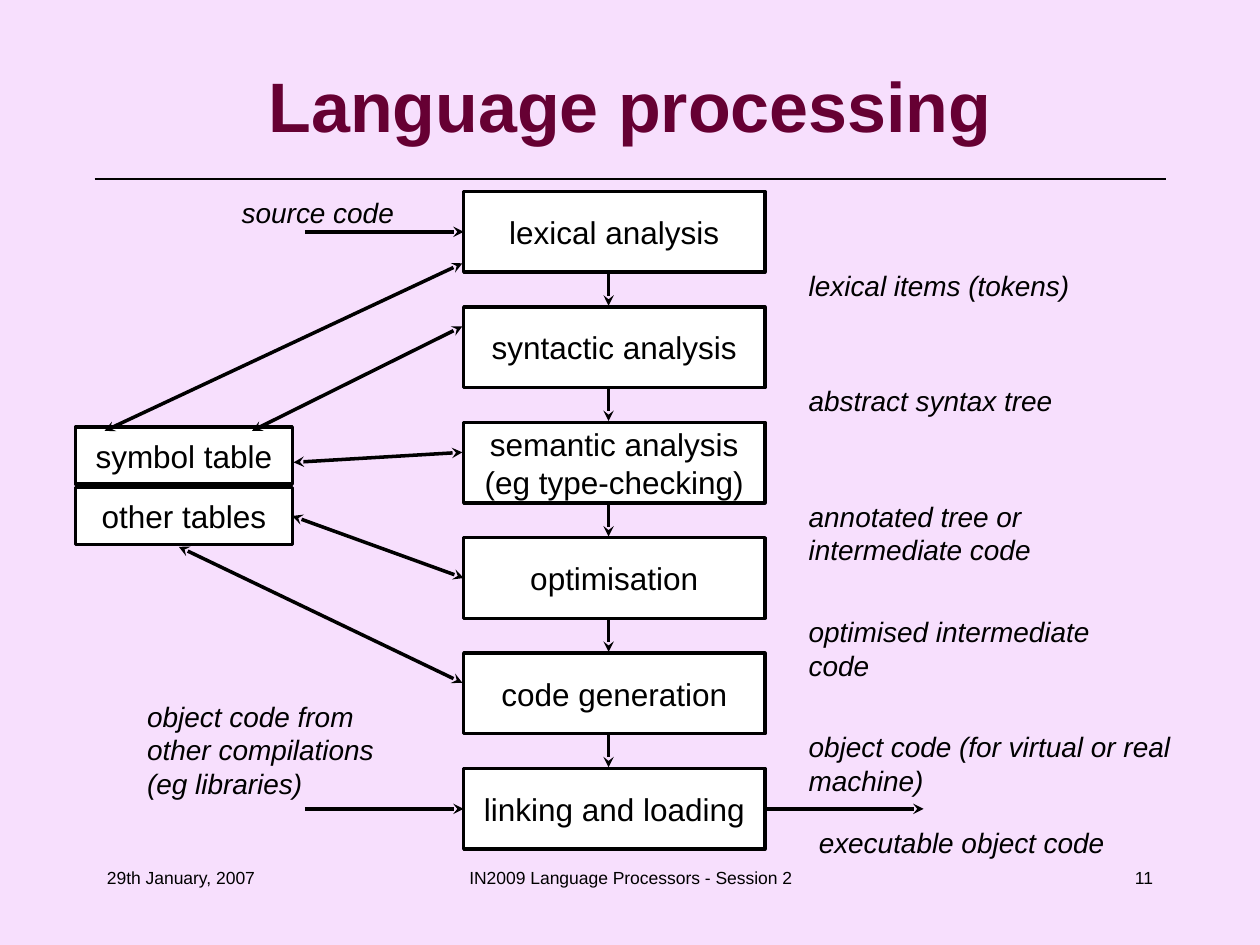
"""Build the "Language processing" slide showing the phases of a compiler."""
from typing import NamedTuple, Optional

from lxml import etree
from pptx import Presentation
from pptx.dml.color import RGBColor
from pptx.enum.shapes import MSO_CONNECTOR, MSO_SHAPE
from pptx.enum.text import MSO_ANCHOR, MSO_AUTO_SIZE, PP_ALIGN
from pptx.oxml.ns import qn
from pptx.util import Inches, Pt

LEFT, CENTER, RIGHT = PP_ALIGN.LEFT, PP_ALIGN.CENTER, PP_ALIGN.RIGHT
MIDDLE, TOP = MSO_ANCHOR.MIDDLE, MSO_ANCHOR.TOP
STRAIGHT, RECTANGLE = MSO_CONNECTOR.STRAIGHT, MSO_SHAPE.RECTANGLE
FIT_SHAPE, FIXED = MSO_AUTO_SIZE.SHAPE_TO_FIT_TEXT, MSO_AUTO_SIZE.NONE
LEFT_SIDE, RIGHT_SIDE = 1, 3

FONT = "Arial"
BLACK, WHITE, PLUM, LILAC = "000000", "FFFFFF", "660033", "F7DFFD"
PHASE_LEFT, PHASE_TOP, PHASE_PITCH = 3.68, 1.52, 0.916
PHASE_WIDTH, PHASE_HEIGHT = 2.39, 0.64
FLOW_X, RESULT_LEFT, RESULT_DROP = 4.83, 6.32, 0.56
TABLE_LEFT, TABLE_TOP, TABLE_PITCH = 0.6, 3.39, 0.48
TABLE_WIDTH, TABLE_HEIGHT = 1.72, 0.45


class Phase(NamedTuple):
    name: str
    result: str = ""
    result_width: float = 0


class Note(NamedTuple):
    text: str
    left: float
    top: float
    width: float


class Footer(NamedTuple):
    text: str
    left: float
    width: float
    align: PP_ALIGN


class Link(NamedTuple):
    start: tuple[float, float]
    end: tuple[float, float]
    start_box: Optional[str] = None
    start_side: int = LEFT_SIDE
    end_box: Optional[str] = None
    end_side: int = LEFT_SIDE
    head: bool = False
    tail: bool = True
    weight: float = 2


PHASES = [
    Phase("lexical analysis", "lexical items (tokens)", 2.27),
    Phase("syntactic analysis", "abstract syntax tree", 2.14),
    Phase("semantic analysis\n(eg type-checking)", "annotated tree or\nintermediate code", 1.96),
    Phase("optimisation", "optimised intermediate\ncode", 2.43),
    Phase("code generation", "object code (for virtual or real\nmachine)", 3.07),
    Phase("linking and loading"),
]
TABLES = ["symbol table", "other tables"]
NOTES = [
    Note("source code", 1.82, 1.5, 1.41),
    Note("executable object code", 6.4, 6.5, 2.47),
    Note("object code from\nother compilations\n(eg libraries)", 1.07, 5.5, 2),
]
FOOTERS = [
    Footer("IN2009 Language Processors - Session 2", 3.42, 3.17, CENTER),
    Footer("11", 7.17, 2.08, RIGHT),
    Footer("29th January, 2007", 0.75, 2.08, LEFT),
]
LINKS = [
    Link((2.42, 1.84), (3.67, 1.84), end_box="lexical analysis"),
    Link((2.42, 6.42), (3.67, 6.42), end_box="linking and loading"),
    Link((6.08, 6.42), (7.33, 6.42), start_box="linking and loading", start_side=RIGHT_SIDE),
    Link((3.67, 2.09), (0.83, 3.42), head=True),
    Link((3.67, 2.59), (2, 3.42), head=True),
    Link((3.67, 3.59), (2.33, 3.67), head=True),
    Link((3.67, 4.59), (2.33, 4.09), "optimisation", LEFT_SIDE,
         "other tables", RIGHT_SIDE, head=True),
    Link((3.67, 5.42), (1.42, 4.34), head=True),
]


def color(value: str) -> RGBColor:
    """Turn a hex string into a colour."""
    return RGBColor.from_string(value)


def write(frame, text: str, size: float, align=LEFT, anchor=TOP, wrap=False,
          bold=False, italic=False, ink=BLACK) -> None:
    """Fill a text frame with uniformly styled paragraphs."""
    frame.text = text
    frame.word_wrap = wrap
    frame.vertical_anchor = anchor
    for paragraph in frame.paragraphs:
        paragraph.alignment = align
        font = paragraph.font
        font.name, font.size, font.bold, font.italic = FONT, Pt(size), bold, italic
        font.color.rgb = color(ink)


def draw_box(shapes, text: str, left: float, top: float, width: float, height: float):
    """Draw a white outlined box with a centred label."""
    box = shapes.add_shape(RECTANGLE, Inches(left), Inches(top), Inches(width), Inches(height))
    box.shadow.inherit = False
    box.fill.solid()
    box.fill.fore_color.rgb = color(WHITE)
    box.line.color.rgb = color(BLACK)
    box.line.width = Pt(2)
    write(box.text_frame, text, 18, CENTER, MIDDLE)
    return box


def draw_text(shapes, text: str, left: float, top: float, width: float, height: float,
              size: float, fit=FIXED, **style) -> None:
    """Draw a text box in the given style."""
    area = shapes.add_textbox(Inches(left), Inches(top), Inches(width), Inches(height))
    write(area.text_frame, text, size, **style)
    area.text_frame.auto_size = fit


def draw_note(shapes, note: Note) -> None:
    """Draw an italic note sized to its number of lines."""
    height = 0.1 + 0.267 * len(note.text.split("\n"))
    draw_text(shapes, note.text, note.left, note.top, note.width, height, 16,
              FIT_SHAPE, italic=True)


def draw_link(shapes, link: Link, boxes: dict) -> None:
    """Draw a line with its arrowheads, joined to any named boxes."""
    line = shapes.add_connector(STRAIGHT, *map(Inches, link.start + link.end))
    line.line.color.rgb = color(BLACK)
    line.line.width = Pt(link.weight)
    if link.start_box:
        line.begin_connect(boxes[link.start_box], link.start_side)
    if link.end_box:
        line.end_connect(boxes[link.end_box], link.end_side)
    outline = line.line._get_or_add_ln()
    for tag, shown in (("a:headEnd", link.head), ("a:tailEnd", link.tail)):
        if shown:
            etree.SubElement(outline, qn(tag), type="stealth")
    etree.SubElement(line._element.spPr, qn("a:effectLst"))


def main() -> None:
    """Assemble and save the slide."""
    deck = Presentation()
    deck.slide_width, deck.slide_height = Inches(10), Inches(7.5)
    slide = deck.slides.add_slide(deck.slide_layouts[6])
    slide.background.fill.solid()
    slide.background.fill.fore_color.rgb = color(LILAC)
    shapes, boxes = slide.shapes, {}

    draw_link(shapes, Link((0.75, 1.42), (9.25, 1.42), tail=False, weight=0.75), boxes)
    draw_text(shapes, "Language processing", 0.5, 0.33, 9, 1, 40, align=CENTER,
              anchor=MIDDLE, wrap=True, bold=True, ink=PLUM)

    for index, phase in enumerate(PHASES):
        top = PHASE_TOP + index * PHASE_PITCH
        boxes[phase.name] = draw_box(shapes, phase.name, PHASE_LEFT, top,
                                     PHASE_WIDTH, PHASE_HEIGHT)
        if phase.result:
            flow = Link((FLOW_X, top + PHASE_HEIGHT + 0.01), (FLOW_X, top + PHASE_PITCH - 0.01))
            draw_link(shapes, flow, boxes)
            draw_note(shapes, Note(phase.result, RESULT_LEFT, top + RESULT_DROP,
                                   phase.result_width))

    table_shapes = shapes.add_group_shape().shapes
    for index, name in enumerate(TABLES):
        boxes[name] = draw_box(table_shapes, name, TABLE_LEFT, TABLE_TOP + index * TABLE_PITCH,
                               TABLE_WIDTH, TABLE_HEIGHT)

    for note in NOTES:
        draw_note(shapes, note)
    for link in LINKS:
        draw_link(shapes, link, boxes)
    for footer in FOOTERS:
        draw_text(shapes, footer.text, footer.left, 6.83, footer.width, 0.5, 10,
                  align=footer.align, wrap=True)
    deck.save("out.pptx")


if __name__ == "__main__":
    main()
